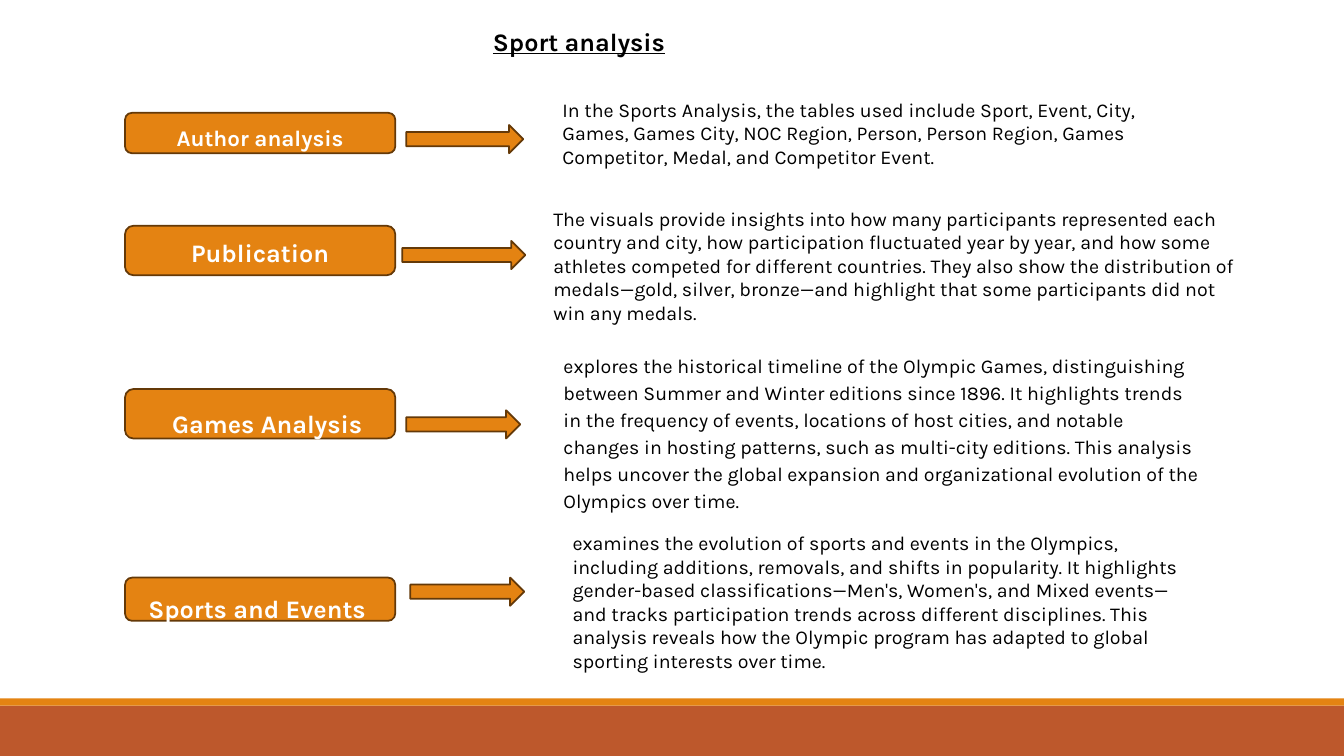
from pptx import Presentation
from pptx import util as u
from pptx.dml.color import RGBColor
from pptx.enum import shapes, text

PX = 9144  # EMU per px, 100 px to the inch
COLORS = {"rust": "BD582C", "orange": "E48312", "brown": "643908",
          "black": "000000", "white": "FFFFFF"}
KINDS = shapes.MSO_SHAPE
ALIGN = text.PP_ALIGN


class Deck:
    def __init__(self, width, height, font="Karla"):
        self.prs = Presentation()
        self.prs.slide_width, self.prs.slide_height = self.px(width, height)
        self.slide = self.prs.slides.add_slide(self.prs.slide_layouts[6])
        self.font = font

    def px(self, *lengths):
        return [u.Emu(n * PX) for n in lengths]

    def color(self, name):
        return RGBColor.from_string(COLORS[name])

    def shape(self, kind, at, fill, line=None):
        sp = self.slide.shapes.add_shape(kind, *self.px(*at))
        sp.shadow.inherit = False
        sp.fill.solid()
        sp.fill.fore_color.rgb = self.color(fill)
        if line:
            sp.line.color.rgb = self.color(line)
            sp.line.width = u.Pt(1.25)
        else:
            sp.line.fill.background()
        return sp

    def label(self, sp, words, color="black", para=None, **font):
        tf = sp.text_frame
        tf.word_wrap = True
        p = tf.paragraphs[0]
        for name, value in (para or {}).items():
            setattr(p, name, value)
        r = p.add_run()
        r.text = words
        for name, value in {"name": self.font, "size": u.Pt(14), **font}.items():
            setattr(r.font, name, value)
        r.font.color.rgb = self.color(color)
        return tf

    def text(self, at, words, **style):
        return self.label(self.slide.shapes.add_textbox(*self.px(*at)), words, **style)


SPACED = {"line_spacing": 1.15, "space_after": u.Pt(8)}
CENTERED = {**SPACED, "alignment": ALIGN.CENTER}
LABEL = {"color": "white", "bold": True}

# Box and arrow of each row
ROWS = [
    ((112, 40), (403, 124, 116)),
    ((224, 49), (399, 239, 122)),
    ((386, 49), (403, 407, 113)),
    ((573, 43), (407, 573, 113)),
]

# Description of each row: place, paragraph format, words
DESCRIPTIONS = [
    ((548, 92, 655, 111), {},
     "In the Sports Analysis, the tables used include Sport, Event, City, Games, "
     "Games City, NOC Region, Person, Person Region, Games Competitor, Medal, and "
     "Competitor Event."),
    ((539, 200, 699, 158), {},
     "The visuals provide insights into how many participants represented each "
     "country and city, how participation fluctuated year by year, and how some "
     "athletes competed for different countries. They also show the distribution of "
     "medals—gold, silver, bronze—and highlight that some participants did not win "
     "any medals."),
    ((549, 343, 655, 144), SPACED,
     "explores the historical timeline of the Olympic Games, distinguishing between "
     "Summer and Winter editions since 1896. It highlights trends in the frequency "
     "of events, locations of host cities, and notable changes in hosting patterns, "
     "such as multi-city editions. This analysis helps uncover the global expansion "
     "and organizational evolution of the Olympics over time."),
    ((558, 522, 645, 158), {},
     "examines the evolution of sports and events in the Olympics, including "
     "additions, removals, and shifts in popularity. It highlights gender-based "
     "classifications—Men's, Women's, and Mixed events—and tracks participation "
     "trends across different disciplines. This analysis reveals how the Olympic "
     "program has adapted to global sporting interests over time."),
]


def main():
    s = Deck(1333, 750)

    # Footer bands
    s.shape(KINDS.RECTANGLE, (0, 700, 1333, 50), "rust")
    s.shape(KINDS.RECTANGLE, (0, 693, 1333, 7), "orange")

    # Title
    s.text((479, 21, 214, 71), "Sport analysis", size=u.Pt(18), bold=True, underline=True)

    # Boxes and arrows
    boxes = []
    for (top, height), (left, arrow_top, width) in ROWS:
        boxes.append(s.shape(KINDS.ROUNDED_RECTANGLE, (124, top, 268, height),
                             "orange", "brown"))
        s.shape(KINDS.RIGHT_ARROW, (left, arrow_top, width, 28), "orange", "brown")

    # Labels inside the first two boxes
    for box, words, size in zip(boxes, ("Author analysis", "Publication"), (16, 18)):
        tf = s.label(box, words, para=CENTERED, size=u.Pt(size), **LABEL)
        tf.vertical_anchor = text.MSO_ANCHOR.MIDDLE
    boxes[0].text_frame.margin_top = s.px(10)[0]

    # Labels laid over the last two boxes
    s.text((161, 396, 217, 43), "Games Analysis", para=SPACED, size=u.Pt(18), **LABEL)
    s.text((121, 579, 268, 43), "Sports and Events", para=CENTERED, size=u.Pt(18), **LABEL)

    # Descriptions
    for at, para, words in DESCRIPTIONS:
        s.text(at, words, para=para)

    s.prs.save("out.pptx")


if __name__ == "__main__":
    main()
